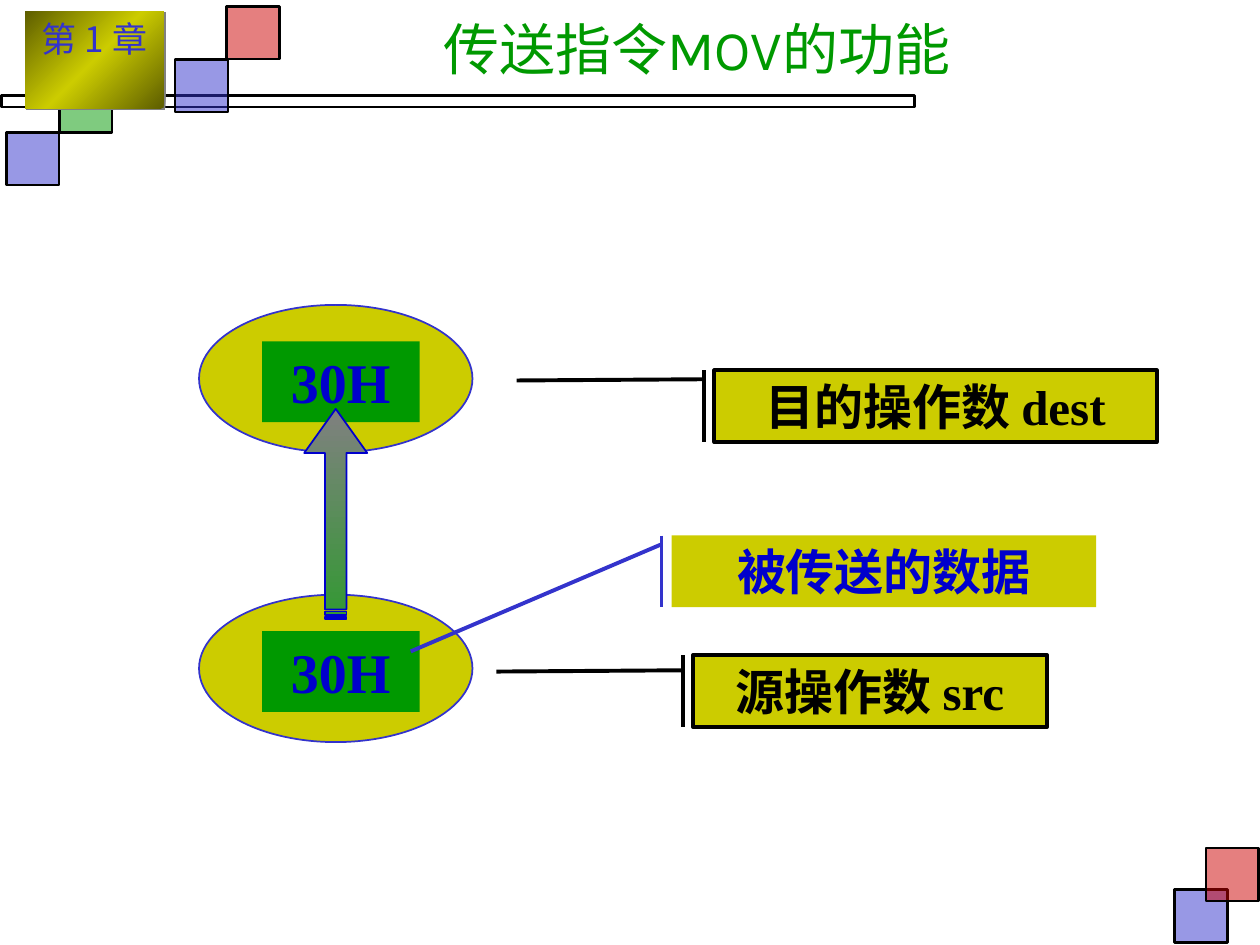
from copy import deepcopy

from lxml import etree
from pptx import Presentation
from pptx import util as u
from pptx.dml.color import RGBColor
from pptx.enum import shapes, text
from pptx.oxml import ns

SHAPE = shapes.MSO_SHAPE
BLUE, RED, GREEN = "3333CC", "CC0000", "009900"
YELLOW, INK, BLACK = "CCCC00", "0000CC", "000000"


def color(value):
    return RGBColor.from_string(value)


def add_element(parent, tag, **attributes):
    return etree.SubElement(parent, ns.qn(tag), **attributes)


class SlideBuilder:
    serif = {"name": "Times New Roman", "bold": True}

    def __init__(self, page):
        self.page = page

    def shape(self, kind, area, fill=None, line=None, width=1, alpha=None):
        item = self.page.shapes.add_shape(kind, *map(u.Inches, area))
        item.shadow.inherit = False
        if isinstance(fill, list):
            self.gradient(item, fill)
        elif fill:
            item.fill.solid()
            item.fill.fore_color.rgb = color(fill)
        else:
            item.fill.background()
        if alpha:
            tone = item._element.spPr.find(".//" + ns.qn("a:srgbClr"))
            add_element(tone, "a:alpha", val=str(alpha * 1000))
        if line:
            item.line.color.rgb = color(line)
            item.line.width = u.Pt(width)
        else:
            item.line.fill.background()
        return item

    def gradient(self, item, tones):
        item.fill.gradient()
        stops = item._element.spPr.find(".//" + ns.qn("a:gsLst"))
        while len(stops) < len(tones):
            stops.append(deepcopy(stops[-1]))
        for index, (stop, tone) in enumerate(zip(item.fill.gradient_stops, tones)):
            stop.color.rgb = color(tone)
            stop.position = index / (len(tones) - 1)

    def label(self, box, words, tone, anchor=text.MSO_ANCHOR.TOP, **style):
        frame = box.text_frame
        frame.word_wrap = True
        frame.vertical_anchor = anchor
        para = frame.paragraphs[0]
        para.alignment = text.PP_ALIGN.CENTER
        span = para.add_run()
        span.text = words
        for name, value in style.items():
            setattr(span.font, name, value)
        span.font.color.rgb = color(tone)
        add_element(span.font._element, "a:ea", typeface="Noto Sans CJK JP")

    def title(self, area, words):
        box = self.page.shapes.add_textbox(*map(u.Inches, area))
        self.label(box, words, GREEN, text.MSO_ANCHOR.MIDDLE, name="Karla", size=u.Pt(32))

    def line(self, start, end, tone):
        item = self.page.shapes.add_connector(
            shapes.MSO_CONNECTOR.STRAIGHT, *map(u.Inches, start + end))
        item.line.color.rgb = color(tone)
        item.line.width = u.Pt(2.25)
        add_element(item._element.spPr, "a:effectLst")

    def callout(self, area, words, target, join, tone, ink, border=None):
        left, top, _, height = area
        bar = left - 0.08
        box = self.shape(SHAPE.RECTANGLE, area, YELLOW, border, 2.25)
        self.label(box, words, ink, size=u.Pt(28), **self.serif)
        self.line(target, (bar, top + join), tone)
        self.line((bar, top), (bar, top + height), tone)

    def operand(self, top):
        self.shape(SHAPE.OVAL, (1.58, top, 2.17, 1.17), YELLOW, BLUE)
        box = self.shape(SHAPE.RECTANGLE, (2.08, top + 0.29, 1.25, 0.64), GREEN)
        self.label(box, "30H", INK, size=u.Pt(32), **self.serif)

    def transfer_arrow(self, area):
        arrow = self.shape(SHAPE.STRIPED_RIGHT_ARROW, area, ["339933", "808080"], INK)
        arrow.fill.gradient_angle = 0
        arrow.rotation = 270
        arrow.adjustments[0] = 0.34
        arrow.adjustments[1] = 0.7

    def chapter_badge(self, area, words):
        badge = self.shape(SHAPE.RECTANGLE, area, ["5E5E00", YELLOW, "5E5E00"])
        badge.fill.gradient_angle = 315
        effects = badge._element.spPr.find(ns.qn("a:effectLst"))
        shadow = add_element(effects, "a:outerShdw", dist=str(u.Pt(1.4)), dir="2700000")
        add_element(shadow, "a:srgbClr", val="808080")
        self.label(badge, words, BLUE, name="Noto Sans CJK JP", size=u.Pt(20))


def main():
    deck = Presentation()
    deck.slide_width, deck.slide_height = u.Inches(10), u.Inches(7.5)
    slide = SlideBuilder(deck.slides.add_slide(deck.slide_layouts[6]))

    slide.shape(SHAPE.RECTANGLE, (0.01, 0.76, 7.25, 0.09), None, BLACK, 1.5)
    squares = [(9.32, 7.06, BLUE), (9.57, 6.73, RED), (1.39, 0.47, BLUE),
               (0.05, 1.05, BLUE), (0.47, 0.63, GREEN), (1.8, 0.05, RED)]
    for left, top, tone in squares:
        slide.shape(SHAPE.RECTANGLE, (left, top, 0.42, 0.42), tone, BLACK, 1.5, 50)
    slide.chapter_badge((0.2, 0.09, 1.1, 0.77), "第 1 章")
    slide.title((2.24, 0.08, 6.58, 0.6), "传送指令MOV的功能")

    slide.callout((5.5, 5.2, 2.81, 0.57), "源操作数 src", (3.94, 5.33), 0.12,
                  BLACK, BLACK, BLACK)
    slide.callout((5.67, 2.94, 3.51, 0.57), "目的操作数 dest", (4.1, 3.02), 0.07,
                  BLACK, BLACK, BLACK)
    for top in (2.42, 4.72):
        slide.operand(top)
    slide.transfer_arrow((1.83, 3.83, 1.67, 0.5))
    slide.callout((5.33, 4.25, 3.37, 0.57), "被传送的数据", (3.26, 5.17), 0.07,
                  BLUE, INK)
    deck.save("out.pptx")


if __name__ == "__main__":
    main()
